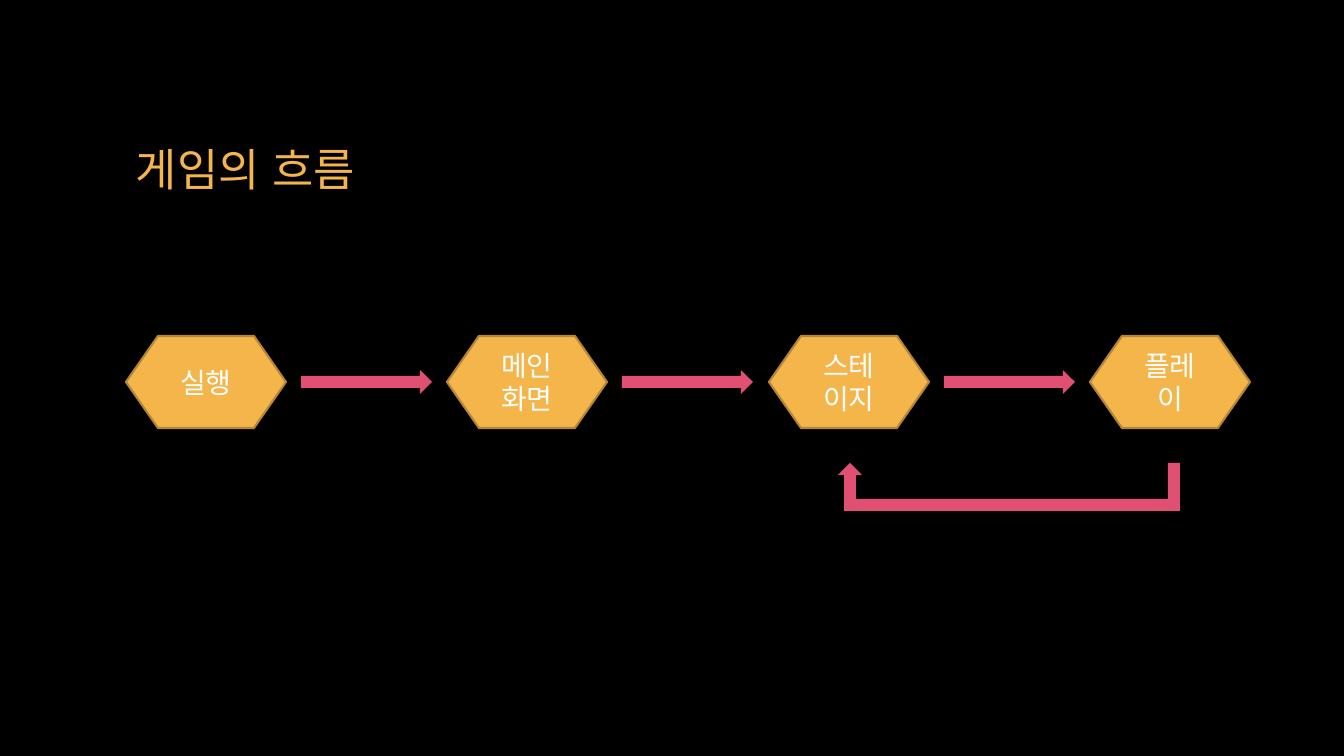
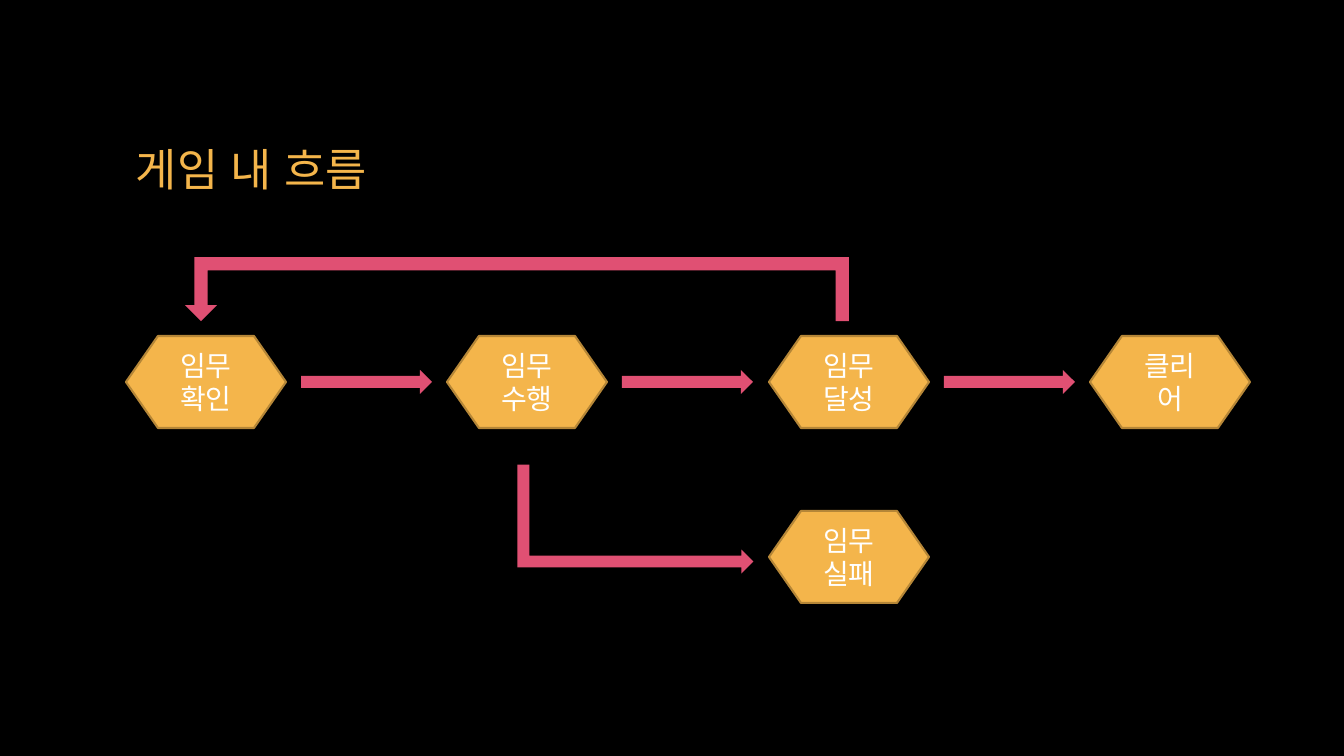
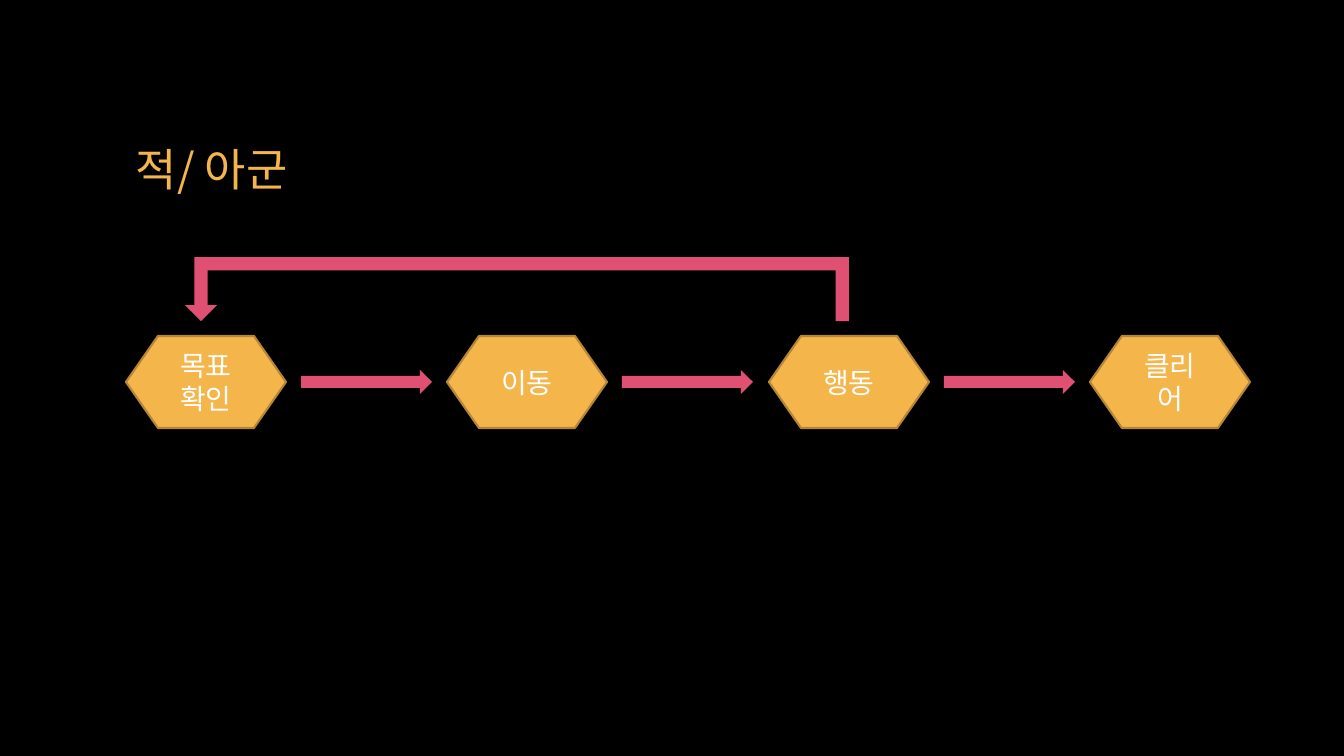
from lxml import etree
from pptx import Presentation
from pptx import util as u
from pptx.dml.color import RGBColor
from pptx.enum import lang, shapes, text
from pptx.oxml.ns import qn

PX_PER_INCH = 100.8
FONT = "Noto Sans CJK KR"
BLACK, WHITE = "000000", "FFFFFF"
AMBER, AMBER_DARK, PINK = "F4B54B", "B58637", "E05073"

STEP_W, STEP_H = 160, 92
FIRST_LEFT, LAST_LEFT, ROW_TOP = 126, 1090, 336
STEP_COUNT = 4
ARROW_W, ARROW_H = 131, 24
ARROW_GAP = 15


def px(length):
    return u.Emu(round(length * 914400 / PX_PER_INCH))


def color(hex_string):
    return RGBColor.from_string(hex_string)


def step_left(column):
    return FIRST_LEFT + round((LAST_LEFT - FIRST_LEFT) * column / (STEP_COUNT - 1))


def write(frame, words, size, hex_color, shadow=False):
    """Put one run in the frame's first paragraph, set for Korean text."""
    frame.word_wrap = True
    frame.vertical_anchor = text.MSO_ANCHOR.MIDDLE
    run = frame.paragraphs[0].add_run()
    run.text = words
    run.font.size = u.Pt(size)
    run.font.color.rgb = color(hex_color)
    run.font.language_id = lang.MSO_LANGUAGE_ID.KOREAN
    properties = run.font.fill._xPr
    if shadow:
        effects = etree.SubElement(properties, qn("a:effectLst"))
        outer = etree.SubElement(effects, qn("a:outerShdw"), blurRad="38100",
                                 dist="19050", dir="2700000", algn="tl")
        tint = etree.SubElement(outer, qn("a:srgbClr"), val=BLACK)
        etree.SubElement(tint, qn("a:alpha"), val="40000")
    run.font.name = FONT
    etree.SubElement(properties, qn("a:ea"), typeface=FONT)


def add_block(slide, kind, left, top, width, height, fill):
    block = slide.shapes.add_shape(kind, px(left), px(top), px(width), px(height))
    block.shadow.inherit = False
    block.fill.solid()
    block.fill.fore_color.rgb = color(fill)
    block.line.fill.background()
    return block


def add_step(slide, words, column, top=ROW_TOP):
    step = add_block(slide, shapes.MSO_SHAPE.FLOWCHART_PREPARATION,
                     step_left(column), top, STEP_W, STEP_H, AMBER)
    step.line.color.rgb = color(AMBER_DARK)
    step.line.width = u.Pt(1.5)
    write(step.text_frame, words, 20, WHITE, shadow=True)
    step.text_frame.paragraphs[0].alignment = text.PP_ALIGN.CENTER


def add_bent_arrow(slide, kind, box, adjustments, rotation, flips=()):
    arrow = add_block(slide, kind, *box, PINK)
    for index, value in enumerate(adjustments):
        arrow.adjustments[index] = value
    arrow.rotation = rotation
    for flip in flips:
        arrow.element.spPr.xfrm.set(flip, "1")


def add_return_above(slide):
    """Lead back from the third step to the first, over the row."""
    add_bent_arrow(slide, shapes.MSO_SHAPE.U_TURN_ARROW, (185, 257, 664, 64),
                   (0.21, 0.25, 0.25, 0, 1), 180, ["flipV"])


def add_return_below(slide):
    """Lead back from the fourth step to the third, under the row."""
    add_bent_arrow(slide, shapes.MSO_SHAPE.U_TURN_ARROW, (838, 463, 342, 48),
                   (0.25, 0.25, 0.25, 0, 1), 180)


def add_failure_branch(slide):
    add_bent_arrow(slide, shapes.MSO_SHAPE.BENT_UP_ARROW, (581, 401, 109, 236),
                   (0.11, 0.11, 0.11), 270, ["flipH", "flipV"])
    add_step(slide, "임무 실패", 2, top=511)


def add_flow_slide(deck, title, steps):
    slide = deck.slides.add_slide(deck.slide_layouts[6])
    slide.background.fill.solid()
    slide.background.fill.fore_color.rgb = color(BLACK)
    heading = slide.shapes.add_textbox(px(126), px(67), px(1092), px(210))
    write(heading.text_frame, title, 32, AMBER)
    heading.text_frame.paragraphs[0].line_spacing = 0.9
    for column, words in enumerate(steps):
        add_step(slide, words, column)
    for column in range(len(steps) - 1):
        add_block(slide, shapes.MSO_SHAPE.RIGHT_ARROW,
                  step_left(column) + STEP_W + ARROW_GAP,
                  ROW_TOP + (STEP_H - ARROW_H) // 2, ARROW_W, ARROW_H, PINK)
    return slide


def main():
    deck = Presentation()
    deck.slide_width, deck.slide_height = px(1344), px(756)

    game = add_flow_slide(deck, "게임의 흐름", ["실행", "메인 화면", "스테 이지", "플레이"])
    add_return_below(game)

    mission = add_flow_slide(deck, "게임 내 흐름",
                             ["임무 확인", "임무 수행", "임무 달성", "클리어"])
    add_return_above(mission)
    add_failure_branch(mission)

    units = add_flow_slide(deck, "적/ 아군", ["목표 확인", "이동", "행동", "클리어"])
    add_return_above(units)

    deck.save("out.pptx")


if __name__ == "__main__":
    main()
